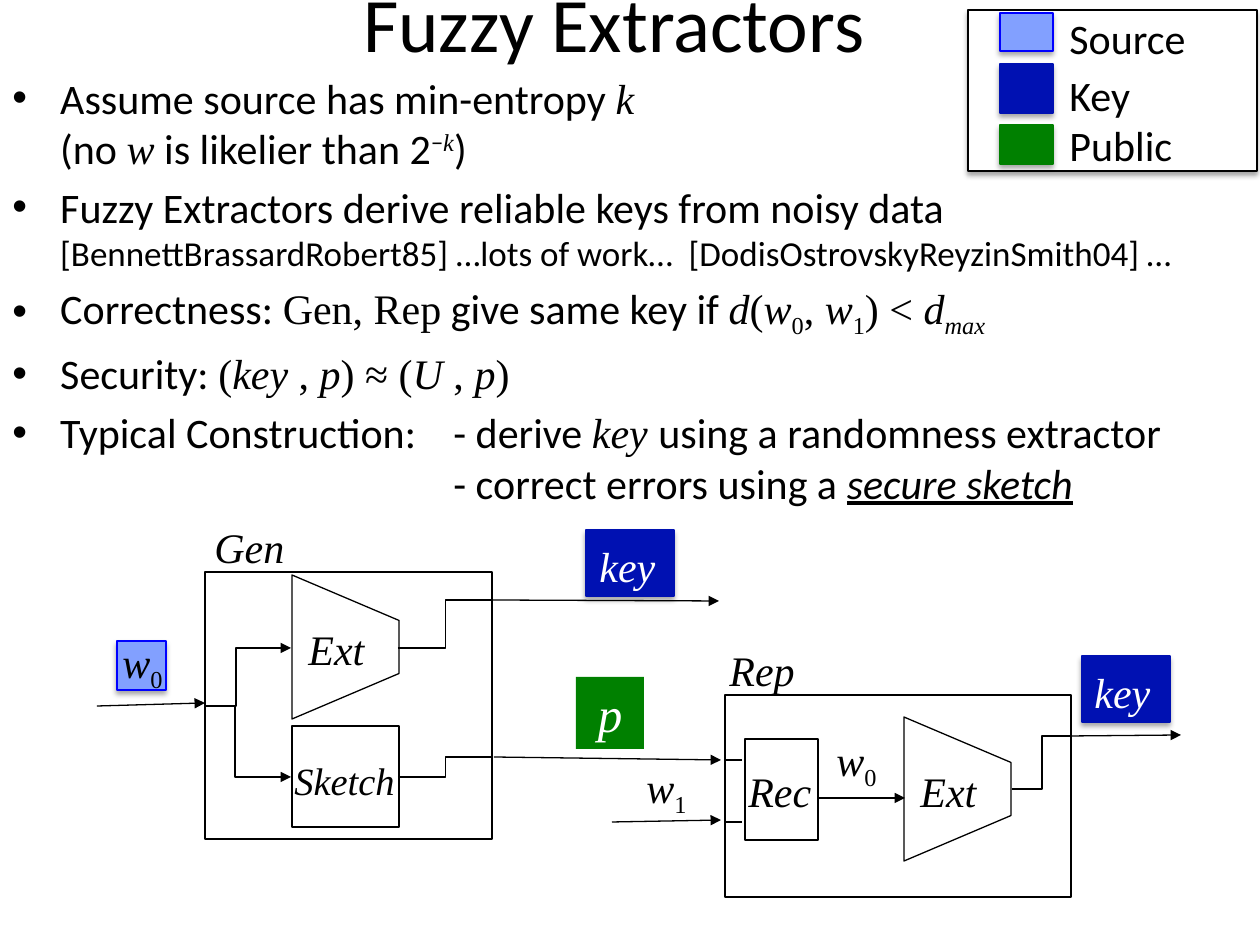
from dataclasses import dataclass
from typing import NamedTuple

from lxml import etree
from pptx import Presentation
from pptx.dml.color import RGBColor
from pptx.enum.shapes import MSO_CONNECTOR, MSO_SHAPE
from pptx.enum.text import MSO_ANCHOR, MSO_AUTO_SIZE, PP_ALIGN
from pptx.oxml.ns import qn
from pptx.util import Emu, Inches, Pt

RECT, TRAPEZOID = MSO_SHAPE.RECTANGLE, MSO_SHAPE.TRAPEZOID
STRAIGHT, ELBOW = MSO_CONNECTOR.STRAIGHT, MSO_CONNECTOR.ELBOW
LEFT, CENTER = PP_ALIGN.LEFT, PP_ALIGN.CENTER
TOP, MIDDLE = MSO_ANCHOR.TOP, MSO_ANCHOR.MIDDLE
FIT = MSO_AUTO_SIZE.SHAPE_TO_FIT_TEXT
EMU_PER_PX = 914400 / 126


@dataclass(frozen=True)
class Theme:
    """Colours, fonts and type sizes of the slide."""
    ink: str = "000000"
    paper: str = "FFFFFF"
    source: str = "82A0FF"
    source_edge: str = "0000FF"
    key: str = "0011B2"
    public: str = "008000"
    sans: str = "Calibri"
    serif: str = "Times New Roman"
    title: int = 44
    public_value: int = 28
    body: int = 24
    sketch: int = 22
    citation: int = 20
    line: float = 0.75


THEME = Theme()


class Run(NamedTuple):
    """A stretch of text; a leading line break is drawn when asked for."""
    text: str
    font: str = THEME.sans
    italic: bool = False
    base: int = 0
    size: int = THEME.body
    underline: bool = False
    color: str = THEME.ink
    new_line: bool = False


class Box(NamedTuple):
    """A block of the diagram or legend, in pixels."""
    x: int
    y: int
    w: int
    h: int
    fill: str | None = None
    edge: str | None = THEME.ink
    shadow: bool = False


class Label(NamedTuple):
    """Text at a place, in pixels."""
    x: int
    y: int
    w: int
    runs: list[Run]
    h: int = 63


class Wire(NamedTuple):
    """A line between two points, with a bend fraction if it is an elbow."""
    x1: int
    y1: int
    x2: int
    y2: int
    arrow: bool = True
    bend: float | None = None


def px(length: float) -> Emu:
    """Turn pixels into EMU."""
    return Emu(round(length * EMU_PER_PX))


def math(text: str, **style) -> Run:
    """Upright serif run."""
    return Run(text, THEME.serif, **style)


def var(text: str, **style) -> Run:
    """Italic serif run."""
    return Run(text, THEME.serif, True, **style)


def reading(index: str) -> list[Run]:
    """Runs of w with a subscript."""
    return [var("w"), math(index, base=-25)]


def add_runs(paragraph, runs: list[Run]) -> None:
    """Append formatted runs to a paragraph."""
    for item in runs:
        if item.new_line:
            paragraph.add_line_break()
        run = paragraph.add_run()
        run.text = item.text
        font = run.font
        font.name, font.size = item.font, Pt(item.size)
        font.italic, font.underline = item.italic, item.underline
        font.color.rgb = RGBColor.from_string(item.color)
        if item.base:
            run._r.get_or_add_rPr().set("baseline", str(item.base * 1000))


def add_label(slide, label: Label, align=LEFT, anchor=TOP, auto_size=FIT):
    """Draw a text box and return its frame."""
    box = slide.shapes.add_textbox(px(label.x), px(label.y), px(label.w), px(label.h))
    frame = box.text_frame
    frame.word_wrap, frame.auto_size, frame.vertical_anchor = True, auto_size, anchor
    frame.paragraphs[0].alignment = align
    add_runs(frame.paragraphs[0], label.runs)
    return frame


def add_box(slide, box: Box, kind=RECT):
    """Draw a block with its fill, edge and soft shadow."""
    shape = slide.shapes.add_shape(kind, px(box.x), px(box.y), px(box.w), px(box.h))
    shape.shadow.inherit = False
    if box.fill:
        shape.fill.solid()
        shape.fill.fore_color.rgb = RGBColor.from_string(box.fill)
    else:
        shape.fill.background()
    if box.edge:
        shape.line.color.rgb = RGBColor.from_string(box.edge)
        shape.line.width = Pt(THEME.line)
    else:
        shape.line.fill.background()
    if box.shadow:
        effects = shape._element.spPr.find(qn("a:effectLst"))
        outer = etree.SubElement(effects, qn("a:outerShdw"), blurRad=str(Pt(3.1)),
                                 dist=str(Pt(1.8)), dir="5400000", rotWithShape="0")
        color = etree.SubElement(outer, qn("a:srgbClr"), val=THEME.ink)
        etree.SubElement(color, qn("a:alpha"), val="35000")
    return shape


def add_extractor(slide, x: int, y: int, w: int = 107, h: int = 144) -> None:
    """Draw a trapezoid that narrows to the right, with its name."""
    shift = (w - h) / 2
    shape = add_box(slide, Box(x + shift, y - shift, h, w), TRAPEZOID)
    shape.adjustments[0] = 0.425
    shape.rotation = 90
    add_label(slide, Label(x + 4, y + 42, 96, [var("Ext")]))


def add_wire(slide, wire: Wire) -> None:
    """Draw a straight or bent connector."""
    kind = STRAIGHT if wire.bend is None else ELBOW
    line = slide.shapes.add_connector(kind, px(wire.x1), px(wire.y1), px(wire.x2), px(wire.y2))
    line.line.color.rgb = RGBColor.from_string(THEME.ink)
    line.line.width = Pt(THEME.line)
    props = line._element.spPr
    etree.SubElement(props, qn("a:effectLst"))
    if wire.arrow:
        etree.SubElement(props.find(qn("a:ln")), qn("a:tailEnd"), type="triangle")
    if wire.bend is not None:
        geometry = props.find(qn("a:prstGeom"))
        guides = geometry.find(qn("a:avLst"))
        if guides is None:
            guides = etree.SubElement(geometry, qn("a:avLst"))
        etree.SubElement(guides, qn("a:gd"), name="adj1", fmla=f"val {round(wire.bend * 100000)}")


def add_body(slide) -> None:
    """Draw the bulleted statements and the indented last line."""
    frame = add_label(slide, Label(0, 66, 1309, BULLETS[0], 393), auto_size=None)
    for runs in BULLETS[1:]:
        add_runs(frame.add_paragraph(), runs)
    for paragraph in frame.paragraphs:
        paragraph.space_before = Pt(4.8)
        props = paragraph._p.get_or_add_pPr()
        props.set("marL", str(Inches(0.38)))
        props.set("indent", str(-Inches(0.38)))
        etree.SubElement(props, qn("a:buFont"), typeface="Arial")
        etree.SubElement(props, qn("a:buChar"), char="•")
    second_step = frame.add_paragraph()
    second_step.space_before = Pt(0)
    second_step._p.get_or_add_pPr().set("marL", str(Inches(3.5)))
    add_runs(second_step, [Run("- correct errors using a "),
                           Run("secure sketch", italic=True, underline=True)])


BULLETS = [
    [Run("Assume source has min-entropy "), var("k"), Run("(no ", new_line=True), var("w"),
     Run(" is likelier than 2"), Run("−", base=30), var("k", base=30), Run(")")],
    [Run("Fuzzy Extractors derive reliable keys from noisy data "),
     Run("[BennettBrassardRobert85] …lots of work…  [DodisOstrovskyReyzinSmith04] … ",
         size=THEME.citation)],
    [Run("Correctness: "), math("Gen, Rep"), Run(" give same key if "), var("d"), math("("),
     *reading("0"), math(", "), *reading("1"), math(") < "), var("d"), var("max", base=-25)],
    [Run("Security: "), math("("), var("key"), math(" , "), var("p"), math(") ≈ ("),
     var("U"), math(" , "), var("p"), math(")")],
    [Run("Typical Construction: \t- derive "), var("key "), Run("using a randomness extractor")],
]
KEY_TEXT = [var("key", color=THEME.paper)]
BOXES = [
    Box(586, 530, 88, 66, THEME.key, THEME.key, True),
    Box(1082, 656, 88, 66, THEME.key, THEME.key, True),
    Box(968, 10, 289, 161, THEME.paper, THEME.ink, True),
    Box(1000, 13, 53, 38, THEME.source, THEME.source_edge, True),
    Box(1000, 64, 53, 49, THEME.key, THEME.key, True),
    Box(1000, 125, 53, 39, THEME.public, THEME.public, True),
    Box(117, 641, 49, 49, THEME.source, THEME.source_edge, True),
    Box(205, 572, 287, 267), Box(725, 695, 346, 202),
    Box(292, 726, 107, 101), Box(745, 739, 73, 101),
]
WIRES = [
    Wire(97, 706, 205, 703), Wire(493, 600, 719, 601), Wire(494, 757, 721, 760),
    Wire(612, 822, 721, 820), Wire(1072, 736, 1181, 735), Wire(818, 798, 905, 798),
    Wire(725, 760, 742, 760, False), Wire(725, 822, 742, 822, False),
    Wire(205, 706, 291, 648, True, 0.36), Wire(205, 706, 291, 777, True, 0.35),
    Wire(398, 648, 493, 600, False, 0.5), Wire(398, 777, 493, 757, False, 0.5),
    Wire(1012, 789, 1072, 736, False, 0.5),
]
LABELS = [
    Label(1057, 6, 253, [Run("Source")]), Label(1057, 63, 88, [Run("Key")]),
    Label(1057, 113, 163, [Run("Public")]),
    Label(202, 515, 110, [var("Gen")]), Label(717, 638, 106, [var("Rep")]),
    Label(110, 630, 73, reading("0")), Label(634, 755, 73, reading("1")),
    Label(824, 728, 73, reading("0")),
    Label(587, 534, 96, KEY_TEXT), Label(1082, 660, 96, KEY_TEXT),
    Label(282, 751, 140, [var("Sketch", size=THEME.sketch)], 59),
    Label(736, 759, 103, [var("Rec")]),
]

deck = Presentation()
deck.slide_width, deck.slide_height = Inches(10), Inches(7.5)
slide = deck.slides.add_slide(deck.slide_layouts[6])
add_label(slide, Label(47, -37, 1134, [Run("Fuzzy Extractors", size=THEME.title)], 118),
          CENTER, MIDDLE, None)
for block in BOXES:
    add_box(slide, block)
add_body(slide)
for link in WIRES:
    add_wire(slide, link)
for corner in ((292, 575), (904, 717)):
    add_extractor(slide, *corner)
public_value = add_box(slide, Box(576, 677, 68, 72, THEME.public, None)).text_frame
public_value.vertical_anchor = TOP
public_value.paragraphs[0].alignment = CENTER
add_runs(public_value.paragraphs[0], [var("p", size=THEME.public_value, color=THEME.paper)])
for caption in LABELS:
    add_label(slide, caption)
deck.save("out.pptx")
